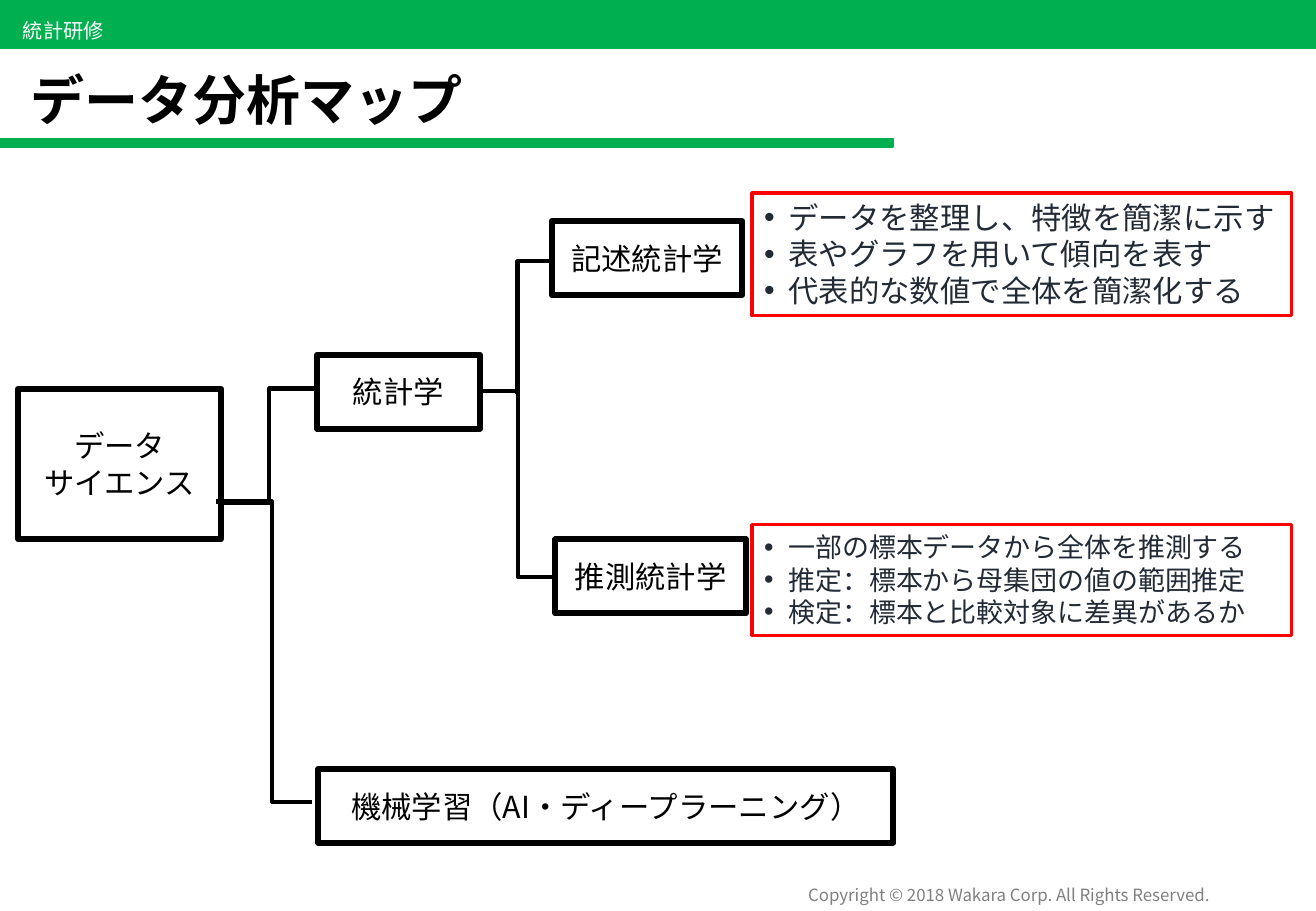
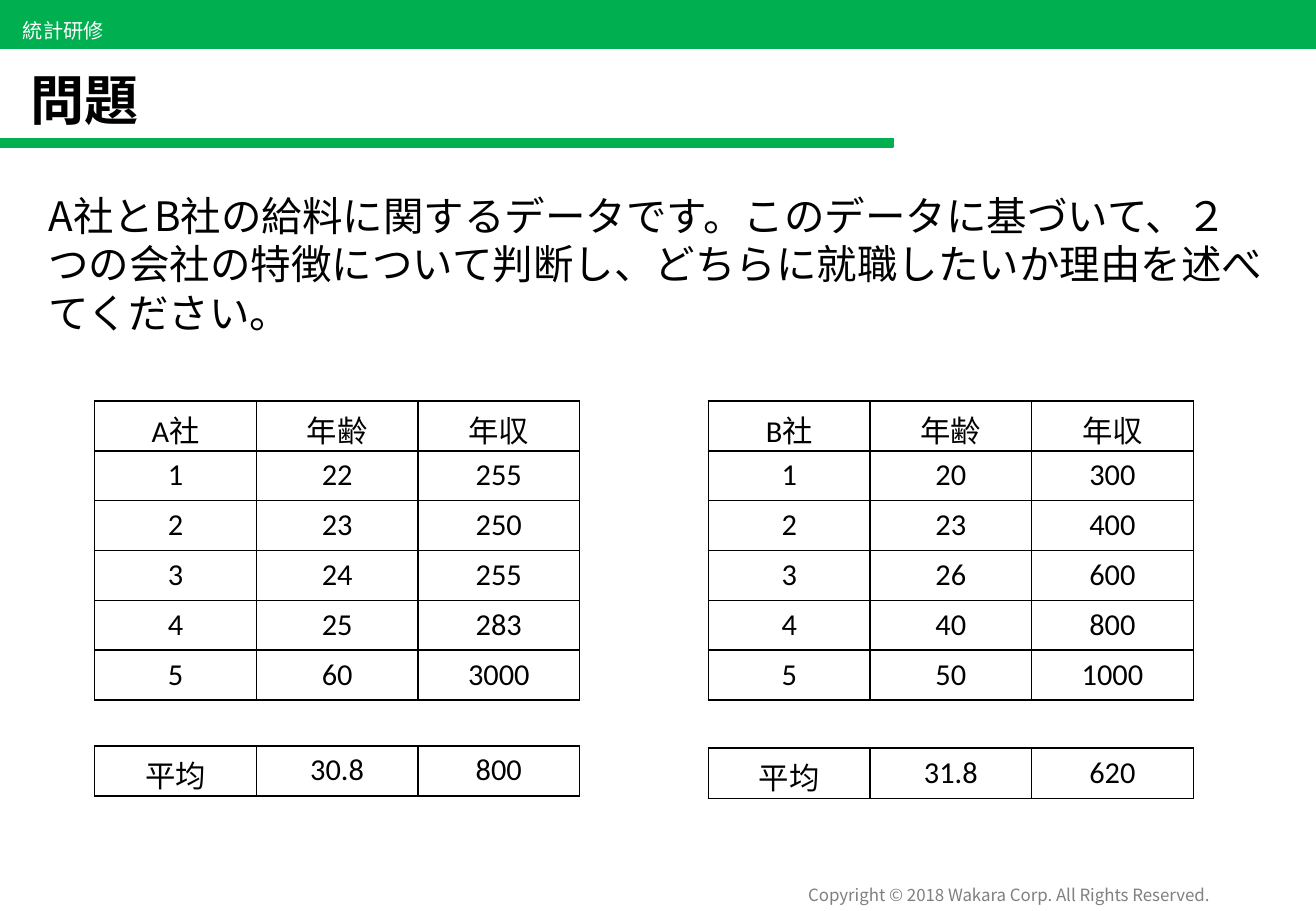
from typing import NamedTuple, Optional

from lxml.etree import SubElement
from pptx import Presentation
from pptx.dml.color import RGBColor
from pptx.enum.shapes import MSO_CONNECTOR, MSO_SHAPE
from pptx.enum.text import MSO_ANCHOR, MSO_AUTO_SIZE, PP_ALIGN
from pptx.oxml.ns import qn
from pptx.slide import Slide
from pptx.text.text import TextFrame, _Paragraph
from pptx.util import Emu, Pt

PX = 9144
WIDE, HIGH = 1083, 750
FONT, LATIN = "Noto Sans CJK JP", "Calibri"
GREEN, BLACK, WHITE = "00B050", "000000", "FFFFFF"
GREY, RED, NAVY = "808080", "FF0000", "222A35"
LEAD = 1.2
COL, ROW = 133, 41


class Area(NamedTuple):
    """A rectangle in px."""

    x: int
    y: int
    w: int
    h: int


class Style(NamedTuple):
    """The look of a block of text."""

    size: int
    color: str = BLACK
    align: PP_ALIGN = PP_ALIGN.LEFT
    anchor: MSO_ANCHOR = MSO_ANCHOR.TOP
    bullet: bool = False
    wrap: bool = True


class Node(NamedTuple):
    """A framed box with its lines of text."""

    area: Area
    lines: tuple[str, ...]
    style: Style
    edge: str = BLACK
    weight: float = 3.5


class Link(NamedTuple):
    """An elbow line, its bend given as a share of its width."""

    x: int
    y: int
    to_x: int
    to_y: int
    bend: float = 0.5


class Grid(NamedTuple):
    """A table at a place."""

    x: int
    y: int
    rows: tuple[tuple[str, ...], ...]


LABEL = Style(18, align=PP_ALIGN.CENTER, anchor=MSO_ANCHOR.MIDDLE)
NODES = (
    Node(Area(15, 320, 167, 124), ("データ", "サイエンス"), LABEL),
    Node(Area(261, 292, 134, 61), ("統計学",), LABEL),
    Node(Area(454, 182, 157, 61), ("記述統計学",), LABEL),
    Node(Area(457, 444, 157, 61), ("推測統計学",), LABEL),
    Node(Area(262, 633, 473, 61), ("機械学習（AI・ディープラーニング）",), LABEL),
    Node(
        Area(619, 159, 444, 101),
        ("データを整理し、特徴を簡潔に示す", "表やグラフを用いて傾向を表す", "代表的な数値で全体を簡潔化する"),
        Style(18, NAVY, bullet=True), RED, 2,
    ),
    Node(
        Area(619, 432, 444, 91),
        ("一部の標本データから全体を推測する", "推定：標本から母集団の値の範囲推定", "検定：標本と比較対象に差異があるか"),
        Style(16, NAVY, bullet=True), RED, 2,
    ),
)
LINKS = (
    Link(395, 322, 457, 475),
    Link(426, 324, 456, 215, 0),
    Link(178, 413, 257, 660, 0.58),
    Link(181, 414, 262, 320),
)
GRIDS = (
    Grid(78, 330, (
        ("A社", "年齢", "年収"), ("1", "22", "255"), ("2", "23", "250"),
        ("3", "24", "255"), ("4", "25", "283"), ("5", "60", "3000"),
    )),
    Grid(583, 330, (
        ("B社", "年齢", "年収"), ("1", "20", "300"), ("2", "23", "400"),
        ("3", "26", "600"), ("4", "40", "800"), ("5", "50", "1000"),
    )),
    Grid(78, 614, (("平均", "30.8", "800"),)),
    Grid(583, 616, (("平均", "31.8", "620"),)),
)
TASK = (
    "A社とB社の給料に関するデータです。このデータに基づいて、２つの会社の特徴について判断し、"
    "どちらに就職したいか理由を述べてください。"
)


def px(*marks: int) -> list[Emu]:
    """Turn px into EMU."""
    return [Emu(mark * PX) for mark in marks]


def tint(code: str) -> RGBColor:
    """Read a hex colour."""
    return RGBColor.from_string(code)


def add_run(para: _Paragraph, text: str, size: int, color: str, face: str = FONT, bold: bool = False) -> None:
    """Add one formatted run."""
    run = para.add_run()
    run.text = text
    font = run.font
    font.size, font.bold, font.name = Pt(size), bold, face
    font.color.rgb = tint(color)
    SubElement(run._r.get_or_add_rPr(), qn("a:ea")).set("typeface", FONT)


def write(frame: TextFrame, lines: tuple[str, ...], style: Style) -> None:
    """Fill a frame, one paragraph a line."""
    frame.word_wrap = style.wrap
    frame.auto_size = MSO_AUTO_SIZE.NONE
    frame.vertical_anchor = style.anchor
    for spot, line in enumerate(lines):
        para = frame.add_paragraph() if spot else frame.paragraphs[0]
        para.alignment = style.align
        para.line_spacing = Pt(style.size * LEAD)
        if style.bullet:
            props = para._p.get_or_add_pPr()
            indent = 20 * PX
            props.set("marL", str(indent))
            props.set("indent", str(-indent))
            SubElement(props, qn("a:buFont")).set("typeface", "Arial")
            SubElement(props, qn("a:buChar")).set("char", "•")
        add_run(para, line, style.size, style.color)


def add_rect(slide: Slide, area: Area, fill: Optional[str], edge: str, weight: float) -> TextFrame:
    """Draw a rectangle and return its text frame."""
    rect = slide.shapes.add_shape(MSO_SHAPE.RECTANGLE, *px(*area))
    rect.shadow.inherit = False
    if fill:
        rect.fill.solid()
        rect.fill.fore_color.rgb = tint(fill)
    else:
        rect.fill.background()
    rect.line.color.rgb = tint(edge)
    rect.line.width = Pt(weight)
    return rect.text_frame


def add_text(slide: Slide, area: Area, text: str, style: Style) -> None:
    """Draw a text box."""
    write(slide.shapes.add_textbox(*px(*area)).text_frame, (text,), style)


def add_link(slide: Slide, link: Link) -> None:
    """Draw an elbow line."""
    line = slide.shapes.add_connector(MSO_CONNECTOR.ELBOW, *px(*link[:4]))
    line.line.color.rgb = tint(BLACK)
    line.line.width = Pt(2.5)
    props = line._element.spPr
    SubElement(props, qn("a:effectLst"))
    guide = SubElement(props.find(qn("a:prstGeom")).get_or_add_avLst(), qn("a:gd"))
    guide.set("name", "adj1")
    guide.set("fmla", f"val {round(link.bend * 100000)}")


def add_grid(slide: Slide, grid: Grid) -> None:
    """Draw a ruled table."""
    rows, cols = len(grid.rows), len(grid.rows[0])
    area = Area(grid.x, grid.y, cols * COL, rows * ROW)
    table = slide.shapes.add_table(rows, cols, *px(*area)).table
    table.first_row = table.horz_banding = False
    for row, words in enumerate(grid.rows):
        for col, word in enumerate(words):
            cell = table.cell(row, col)
            cell.margin_bottom = 0
            para = cell.text_frame.paragraphs[0]
            para.alignment = PP_ALIGN.CENTER
            add_run(para, word, 18, BLACK, LATIN)
            props = cell._tc.get_or_add_tcPr()
            for side in ("lnL", "lnR", "lnT", "lnB"):
                edge = SubElement(props, qn(f"a:{side}"))
                edge.set("w", str(Pt(1)))
                paint = SubElement(edge, qn("a:solidFill"))
                SubElement(paint, qn("a:srgbClr")).set("val", BLACK)
            cell.fill.background()


def add_page(deck: Presentation, title: str) -> Slide:
    """Add a slide with the shared bands, title and footer."""
    slide = deck.slides.add_slide(deck.slide_layouts[5])
    for band in (Area(0, 0, WIDE, 40), Area(0, 114, 735, 7)):
        add_rect(slide, band, GREEN, GREEN, 1)
    add_text(
        slide, Area(621, 723, 384, 27), "Copyright © 2018 Wakara Corp. All Rights Reserved.",
        Style(10, GREY, PP_ALIGN.RIGHT, MSO_ANCHOR.MIDDLE),
    )
    add_text(slide, Area(9, 10, 88, 30), "統計研修", Style(12, WHITE, anchor=MSO_ANCHOR.MIDDLE, wrap=False))
    head = slide.shapes.title
    head.left, head.top, head.width, head.height = px(15, 40, 1036, 74)
    frame = head.text_frame
    frame.auto_size = MSO_AUTO_SIZE.NONE
    frame.vertical_anchor = MSO_ANCHOR.BOTTOM
    para = frame.paragraphs[0]
    para.alignment = PP_ALIGN.LEFT
    para.line_spacing = 0.9
    add_run(para, title, 32, BLACK, bold=True)
    return slide


def main() -> None:
    """Build and save the deck."""
    deck = Presentation()
    deck.slide_width, deck.slide_height = px(WIDE, HIGH)
    chart = add_page(deck, "データ分析マップ")
    for node in NODES:
        write(add_rect(chart, node.area, None, node.edge, node.weight), node.lines, node.style)
    for link in LINKS:
        add_link(chart, link)
    quiz = add_page(deck, "問題")
    add_text(quiz, Area(30, 152, 1021, 131), TASK, Style(24))
    for grid in GRIDS:
        add_grid(quiz, grid)
    deck.save("out.pptx")


if __name__ == "__main__":
    main()
